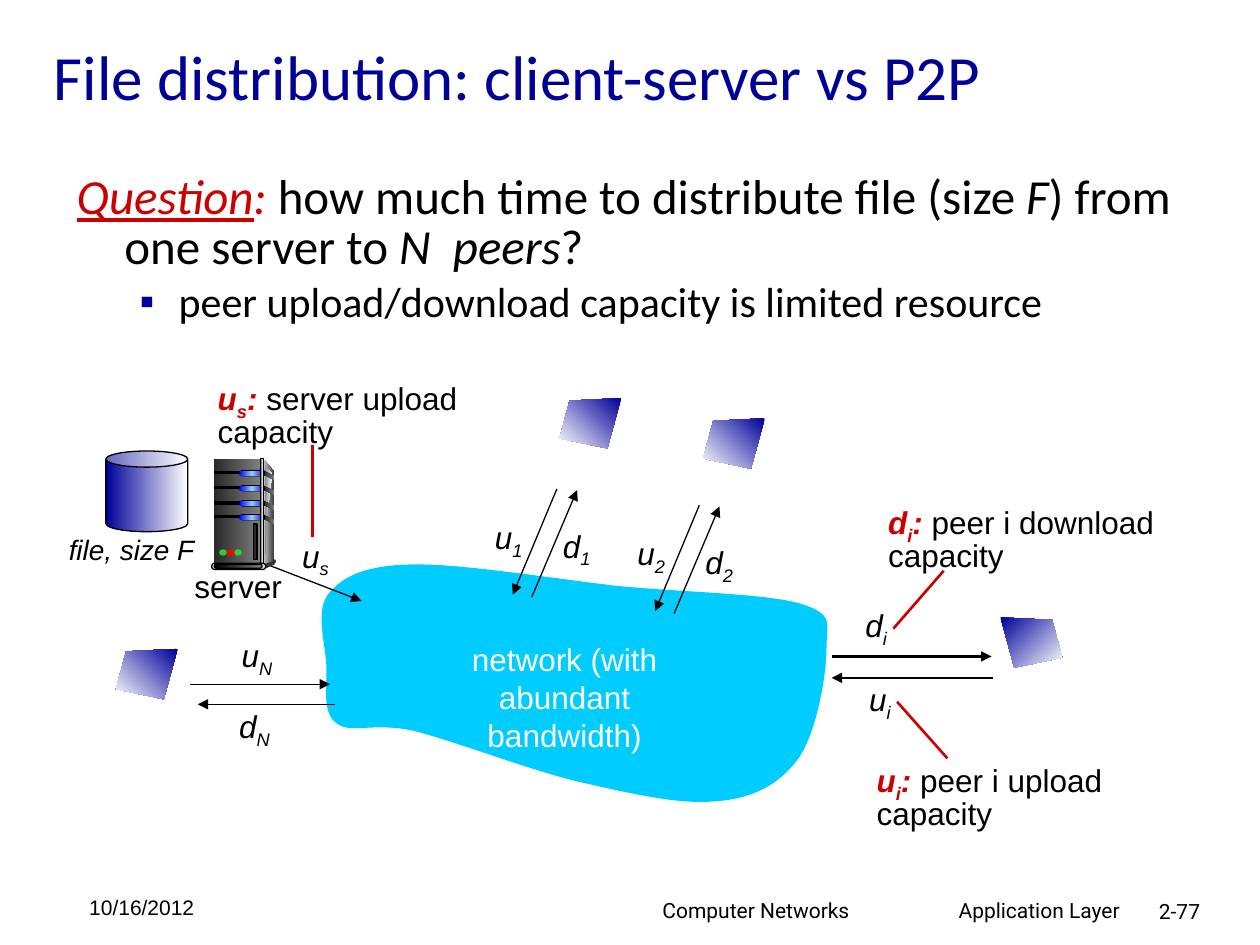
"""Build the slide that compares client-server and P2P file distribution."""
import dataclasses
import typing

import lxml.etree
import pptx
import pptx.dml.color
import pptx.enum.shapes
import pptx.enum.text
import pptx.oxml.ns
import pptx.shapes.shapetree
import pptx.util

Inches = pptx.util.Inches
Pt = pptx.util.Pt
Kind = pptx.enum.shapes.MSO_SHAPE
Align = pptx.enum.text.PP_ALIGN
Shapes = pptx.shapes.shapetree.SlideShapes
Point = tuple[float, float]
Place = tuple[float, float, float, float]

BLACK, WHITE, NAVY, RED, CYAN = "000000", "FFFFFF", "000099", "CC0000", "00CCFF"
STEEL, DARK, PALE = "292929", "333333", "DDDDDD"


@dataclasses.dataclass
class Gradient:
    colors: tuple[str, ...]
    angle: int = 0


@dataclasses.dataclass
class Arrow:
    start: Point
    end: Point
    width: float = 0.75
    color: str = BLACK
    pointed: bool = True


@dataclasses.dataclass
class Variable:
    letter: str
    index: str
    left: float
    top: float


@dataclasses.dataclass
class Definition:
    letter: str
    index: str
    meaning: str
    place: Place


Paint = typing.Union[str, Gradient]
METAL = Gradient((STEEL, "808080"))
GLOW = Gradient(("0000FF", "99CCFF", "0000FF"))


def rgb(color: str) -> pptx.dml.color.RGBColor:
    return pptx.dml.color.RGBColor.from_string(color)


def add_element(parent, tag: str, **attributes: str):
    return lxml.etree.SubElement(parent, pptx.oxml.ns.qn(tag), attributes)


def paint(shape, fill: Paint, outline: bool = False) -> None:
    shape.shadow.inherit = False
    if isinstance(fill, Gradient):
        shape.fill.gradient()
        shape.fill.gradient_angle = -fill.angle % 360
        stops = shape._element.spPr.find(".//" + pptx.oxml.ns.qn("a:gsLst"))
        for stop in list(stops):
            stops.remove(stop)
        for number, color in enumerate(fill.colors):
            position = 100000 * number // (len(fill.colors) - 1)
            stop = add_element(stops, "a:gs", pos=str(position))
            add_element(stop, "a:srgbClr", val=color)
    else:
        shape.fill.solid()
        shape.fill.fore_color.rgb = rgb(fill)
    if outline:
        shape.line.color.rgb = rgb(BLACK)
        shape.line.width = Pt(0.75)
    else:
        shape.line.fill.background()


def add_preset(shapes: Shapes, kind: Kind, place: Place, fill: Paint,
               outline: bool = False, adjust: typing.Optional[float] = None) -> None:
    shape = shapes.add_shape(kind, *map(Inches, place))
    if adjust is not None:
        shape.adjustments[0] = adjust
    paint(shape, fill, outline)


def add_outline(shapes: Shapes, points: list[Point], fill: Paint) -> None:
    corners = [(Inches(x), Inches(y)) for x, y in points]
    builder = shapes.build_freeform(*corners[0])
    builder.add_line_segments(corners[1:], close=True)
    paint(builder.convert_to_shape(), fill)


def trace_curve(start: Point, curves: list[tuple], steps: int = 16) -> list[Point]:
    points = [start]
    for x1, y1, x2, y2, x3, y3 in curves:
        x0, y0 = points[-1]
        for step in range(1, steps + 1):
            t = step / steps
            a, b, c, d = (1 - t) ** 3, 3 * t * (1 - t) ** 2, 3 * t * t * (1 - t), t ** 3
            points.append((a * x0 + b * x1 + c * x2 + d * x3,
                           a * y0 + b * y1 + c * y2 + d * y3))
    return points


def add_arrow(shapes: Shapes, arrow: Arrow) -> None:
    line = shapes.add_connector(pptx.enum.shapes.MSO_CONNECTOR.STRAIGHT,
                                *map(Inches, arrow.start + arrow.end))
    line.line.color.rgb = rgb(arrow.color)
    line.line.width = Pt(arrow.width)
    if arrow.pointed:
        add_element(line.line._get_or_add_ln(), "a:tailEnd", type="triangle")
    add_element(line._element.spPr, "a:effectLst")


def add_box(shapes: Shapes, place: Place, wrap: bool = True, align: Align = Align.LEFT):
    box = shapes.add_textbox(*map(Inches, place))
    box.text_frame.word_wrap = wrap
    box.text_frame.paragraphs[0].alignment = align
    return box.text_frame


def write(para, text: str, *, size: float = 18, font: str = "Arial", color: str = BLACK,
          bold: bool = False, italic: bool = False, underline: bool = False,
          subscript: bool = False) -> None:
    span = para.add_run()
    span.text = text
    span.font.size, span.font.name = Pt(size), font
    span.font.color.rgb = rgb(color)
    span.font.bold, span.font.italic, span.font.underline = bold, italic, underline
    if subscript:
        span._r.get_or_add_rPr().set("baseline", "-25000")


def add_label(shapes: Shapes, place: Place, text: str, align: Align = Align.LEFT,
              **style) -> None:
    write(add_box(shapes, place, align=align).paragraphs[0], text, **style)


def add_variable(shapes: Shapes, item: Variable) -> None:
    para = add_box(shapes, (item.left, item.top, 0.67, 0.4)).paragraphs[0]
    write(para, item.letter, italic=True)
    write(para, item.index, italic=True, subscript=True)


def add_definition(shapes: Shapes, item: Definition) -> None:
    para = add_box(shapes, item.place).paragraphs[0]
    para.line_spacing = 0.85
    for text, lowered in ((item.letter, False), (item.index, True), (":", False)):
        write(para, text, color=RED, bold=True, italic=True, subscript=lowered)
    write(para, " " + item.meaning)


def add_question(shapes: Shapes) -> None:
    frame = add_box(shapes, (0.51, 1.34, 9.03, 0.97))
    para, point = frame.paragraphs[0], frame.add_paragraph()
    for item, margin, indent in ((para, 0.38, -0.38), (point, 0.81, -0.31)):
        item.line_spacing = 0.85
        item._p.get_or_add_pPr().set("marL", str(Inches(margin)))
        item._p.get_or_add_pPr().set("indent", str(Inches(indent)))
    write(para, "Question", size=28, font="Calibri", color=RED, italic=True, underline=True)
    write(para, ":", size=28, font="Calibri", color=RED, italic=True)
    for text, italic in ((" how much time to distribute file (size ", False), ("F", True),
                         (") from one server to ", False), ("N  peers", True), ("?", False)):
        write(para, text, size=28, font="Calibri", italic=italic)
    point.level, point.space_before = 1, Pt(4.8)
    properties = point._p.get_or_add_pPr()
    add_element(add_element(properties, "a:buClr"), "a:srgbClr", val=NAVY)
    add_element(properties, "a:buFont", typeface="Arial")
    add_element(properties, "a:buChar", char="▪")
    write(point, "peer upload/download capacity is limited resource", size=24, font="Calibri")


def add_server(shapes: Shapes) -> None:
    add_outline(shapes, [(2.1, 3.65), (2.18, 3.75), (2.18, 4.45), (2.08, 4.48)],
                Gradient((PALE, DARK)))
    add_preset(shapes, Kind.RECTANGLE, (1.7, 3.64, 0.37, 0.84), METAL)
    add_outline(shapes, [(2.1, 3.7), (2.16, 3.76), (2.12, 4.1), (2.1, 4.46)],
                Gradient(("808080", "F8F8F8")))
    for top in (3.74, 3.86, 3.98, 4.09):
        add_preset(shapes, Kind.RECTANGLE, (1.7, top, 0.21, 0.02), BLACK, True)
        add_preset(shapes, Kind.ROUNDED_RECTANGLE, (1.9, top - 0.01, 0.21, 0.05), BLACK, adjust=0.5)
        add_preset(shapes, Kind.ROUNDED_RECTANGLE, (1.9, top, 0.2, 0.04), GLOW, adjust=0.5)
        add_outline(shapes, [(2.1, top), (2.18, top + 0.04), (2.18, top + 0.07),
                             (2.1, top + 0.03)], METAL)
    add_preset(shapes, Kind.RECTANGLE, (2.07, 3.64, 0.02, 0.84), Gradient((DARK, PALE, DARK)), True)
    add_preset(shapes, Kind.OVAL, (2.17, 4.44, 0.02, 0.03), DARK)
    add_outline(shapes, [(2.09, 4.48), (2.09, 4.52), (2.18, 4.48), (2.18, 4.45)], DARK)
    add_preset(shapes, Kind.ROUNDED_RECTANGLE, (1.68, 4.47, 0.43, 0.05), PALE, True, 0.5)
    add_preset(shapes, Kind.ROUNDED_RECTANGLE, (1.7, 4.48, 0.38, 0.03),
               Gradient((BLACK, "808080")), True, 0.5)
    for number, color in enumerate(("33CC33", "FF0000", "33CC33")):
        add_preset(shapes, Kind.OVAL, (1.74 + 0.06 * number, 4.36, 0.06, 0.05), color)
    add_preset(shapes, Kind.RECTANGLE, (2.01, 4.16, 0.03, 0.28), STEEL, True)


def add_screen(shapes: Shapes, left: float, top: float, mirrored: bool = False) -> None:
    corners = [(0.49, 0), (0.08, 0.02), (0, 0.32), (0.38, 0.4)]
    points = [(left + (0.49 - x if mirrored else x), top + y) for x, y in corners]
    add_outline(shapes, points, Gradient((NAVY, WHITE), 45 if mirrored else 135))


def add_peer_link(shapes: Shapes, index: str, x: float, y: float) -> None:
    add_variable(shapes, Variable("u", index, x, y))
    add_arrow(shapes, Arrow((x + 0.59, y - 0.18), (x + 0.24, y + 0.66)))
    add_arrow(shapes, Arrow((x + 0.39, y + 0.68), (x + 0.75, y - 0.17)))
    add_variable(shapes, Variable("d", index, x + 0.54, y + 0.07))


def add_footer(shapes: Shapes) -> None:
    para = add_box(shapes, (5.16, 7.07, 3.83, 0.31)).paragraphs[0]
    tabs = add_element(para._p.get_or_add_pPr(), "a:tabLst")
    add_element(tabs, "a:tab", pos=str(Inches(2.35)), algn="l")
    write(para, "Computer Networks\tApplication Layer", size=12, font="Roboto")
    add_label(shapes, (9.1, 7.08, 0.74, 0.3), "2-77", size=12, font="Roboto")
    add_label(shapes, (0.61, 7.05, 2.08, 0.36), "10/16/2012", size=12)


def add_network(shapes: Shapes) -> None:
    cloud = trace_curve((3.26, 4.48), [
        (2.88, 4.49, 2.72, 4.58, 2.61, 4.71), (2.5, 4.84, 2.58, 5.1, 2.59, 5.27),
        (2.6, 5.44, 2.55, 5.65, 2.67, 5.74), (2.78, 5.83, 2.96, 5.73, 3.28, 5.8),
        (3.6, 5.88, 4.17, 6.1, 4.57, 6.2), (4.97, 6.29, 5.38, 6.39, 5.68, 6.36),
        (5.97, 6.34, 6.18, 6.23, 6.33, 6.03), (6.48, 5.83, 6.56, 5.36, 6.56, 5.15),
        (6.56, 4.94, 6.63, 4.88, 6.35, 4.79), (6.07, 4.71, 5.4, 4.7, 4.89, 4.65),
        (4.38, 4.59, 3.64, 4.47, 3.26, 4.48)])
    add_outline(shapes, cloud, CYAN)
    frame = add_box(shapes, (3.09, 5.03, 2.78, 0.7), wrap=False, align=Align.CENTER)
    write(frame.paragraphs[0], "network (with abundant", color=WHITE)
    para = frame.add_paragraph()
    para.alignment = Align.CENTER
    write(para, "bandwidth)", color=WHITE)


def main() -> None:
    deck = pptx.Presentation()
    deck.slide_width, deck.slide_height = Inches(10), Inches(7.5)
    page = deck.slides.add_slide(deck.slide_layouts[6])
    shapes = page.shapes
    add_footer(shapes)
    title = add_box(shapes, (0.33, 0.17, 9.32, 0.85))
    title.vertical_anchor = pptx.enum.text.MSO_ANCHOR.MIDDLE
    write(title.paragraphs[0], "File distribution: client-server vs P2P",
          size=36, font="Calibri", color=NAVY)
    add_question(shapes)
    add_network(shapes)
    add_label(shapes, (1.25, 4.45, 1.28, 0.4), "server", Align.CENTER)
    add_label(shapes, (0.28, 4.18, 1.53, 0.37), "file, size F", Align.CENTER, size=16, italic=True)
    add_preset(shapes, Kind.CAN, (0.84, 3.58, 0.65, 0.64), Gradient((NAVY, WHITE)), True, 0.2)
    for variable in (Variable("u", "s", 2.3, 4.21), Variable("u", "N", 1.82, 5),
                     Variable("d", "N", 1.8, 5.56), Variable("d", "i", 6.77, 4.76),
                     Variable("u", "i", 6.8, 5.35)):
        add_variable(shapes, variable)
    for definition in (
            Definition("u", "s", "server upload capacity", (1.63, 2.98, 2.2, 0.61)),
            Definition("u", "i", "peer i upload capacity", (6.86, 6.01, 2.83, 0.61)),
            Definition("d", "i", "peer i download capacity", (6.95, 3.96, 2.32, 0.61))):
        add_definition(shapes, definition)
    add_peer_link(shapes, "1", 3.83, 4.06)
    add_peer_link(shapes, "2", 4.96, 4.19)
    for arrow in (Arrow((1.99, 4.43), (2.87, 4.77)), Arrow((1.51, 5.43), (2.62, 5.43)),
                  Arrow((2.66, 5.59), (1.57, 5.59)), Arrow((6.6, 5.21), (7.87, 5.21), 1.5),
                  Arrow((7.88, 5.38), (6.6, 5.38), 1.5)):
        add_arrow(shapes, arrow)
    for start, end in (((2.48, 3.53), (2.48, 4.26)), ((7.49, 4.53), (7.09, 4.99)),
                       ((7.52, 6.02), (7.12, 5.57))):
        add_arrow(shapes, Arrow(start, end, 1.5, RED, False))
    add_server(shapes.add_group_shape().shapes)
    for left, top in ((0.92, 5.15), (4.44, 3.16), (5.58, 3.32)):
        add_screen(shapes, left, top)
    add_screen(shapes, 7.94, 4.9, mirrored=True)
    deck.save("out.pptx")


if __name__ == "__main__":
    main()
